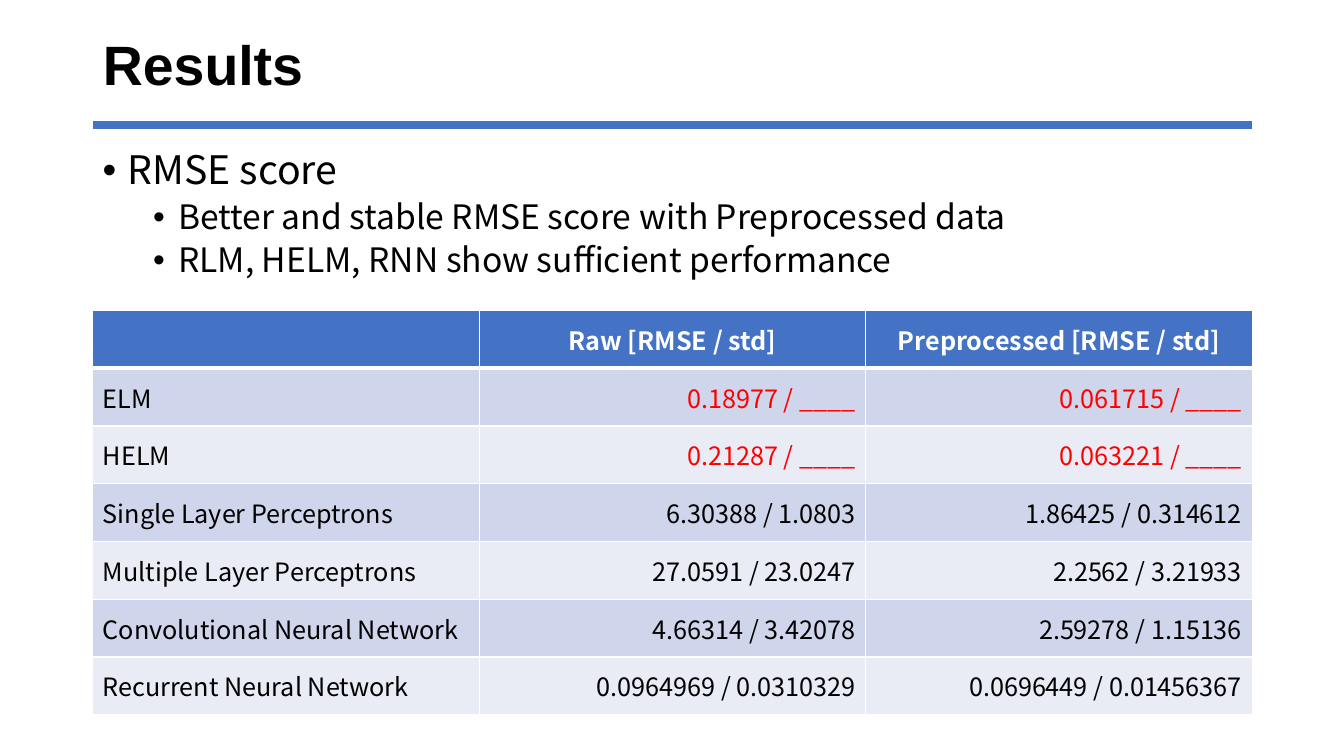
from dataclasses import dataclass

from lxml import etree
from pptx import Presentation
from pptx.dml.color import RGBColor
from pptx.enum.shapes import MSO_CONNECTOR
from pptx.enum.text import MSO_ANCHOR, MSO_AUTO_SIZE, PP_ALIGN
from pptx.oxml.ns import qn
from pptx.util import Inches, Pt

STRAIGHT = MSO_CONNECTOR.STRAIGHT
MIDDLE = MSO_ANCHOR.MIDDLE
NO_AUTOFIT = MSO_AUTO_SIZE.NONE
LEFT, CENTER, RIGHT = PP_ALIGN.LEFT, PP_ALIGN.CENTER, PP_ALIGN.RIGHT
TITLE_ONLY = 5

MARGIN = 0.92
CONTENT_WIDTH = 11.5

BULLETS = [
    (0, "RMSE score"),
    (1, "Better and stable RMSE score with Preprocessed data"),
    (1, "RLM, HELM, RNN show sufficient performance"),
]
HEADERS = ["", "Raw [RMSE / std]", "Preprocessed [RMSE / std]"]
SCORES = [
    ["ELM", "0.18977 / ____", "0.061715 / ____"],
    ["HELM", "0.21287 / ____", "0.063221 / ____"],
    ["Single Layer Perceptrons", "6.30388 / 1.0803", "1.86425 / 0.314612"],
    ["Multiple Layer Perceptrons", "27.0591 / 23.0247", "2.2562 / 3.21933"],
    ["Convolutional Neural Network", "4.66314 / 3.42078", "2.59278 / 1.15136"],
    ["Recurrent Neural Network", "0.0964969 / 0.0310329", "0.0696449 / 0.01456367"],
]


@dataclass(frozen=True)
class Theme:
    title_font: str = "Arial"
    body_font: str = "Noto Sans CJK KR"
    title_size: float = 39.6
    bullet_sizes: tuple = (28, 24)
    table_size: float = 18
    text: str = "000000"
    accent: str = "4472C4"
    white: str = "FFFFFF"
    missing: str = "FF0000"
    bands: tuple = ("CFD5EA", "E9EBF5")


class SlideBuilder:
    def __init__(self, slide, theme):
        self.slide = slide
        self.theme = theme

    def style(self, paragraph, size, color, bold=False, font_name=None):
        font = paragraph.font
        font.name = font_name or self.theme.body_font
        font.size = Pt(size)
        font.bold = bold
        font.color.rgb = RGBColor.from_string(color)

    def title(self, text, top, height):
        shape = self.slide.shapes.title
        shape.left, shape.top = Inches(MARGIN), Inches(top)
        shape.width, shape.height = Inches(CONTENT_WIDTH), Inches(height)
        frame = shape.text_frame
        frame.text = text
        frame.auto_size = NO_AUTOFIT
        frame.vertical_anchor = MIDDLE
        paragraph = frame.paragraphs[0]
        paragraph.alignment = LEFT
        paragraph.line_spacing = 0.9
        self.style(paragraph, self.theme.title_size, self.theme.text, True, self.theme.title_font)

    def rule(self, top, width):
        connector = self.slide.shapes.add_connector(
            STRAIGHT, Inches(MARGIN), Inches(top), Inches(MARGIN + CONTENT_WIDTH), Inches(top)
        )
        connector.line.color.rgb = RGBColor.from_string(self.theme.accent)
        connector.line.width = Pt(width)
        etree.SubElement(connector._element.spPr, qn("a:effectLst"))

    def bullets(self, items, top, height):
        shape = self.slide.shapes.add_textbox(
            Inches(MARGIN), Inches(top), Inches(CONTENT_WIDTH), Inches(height)
        )
        frame = shape.text_frame
        frame.word_wrap = True
        for index, (level, text) in enumerate(items):
            paragraph = frame.add_paragraph() if index else frame.paragraphs[0]
            paragraph.text = text
            paragraph.level = level
            paragraph.line_spacing = 0.9
            paragraph.space_before = Pt(5 if level else 10)
            self.style(paragraph, self.theme.bullet_sizes[level], self.theme.text)
            properties = paragraph._p.get_or_add_pPr()
            properties.set("marL", str(Inches(0.25 + 0.5 * level)))
            properties.set("indent", str(Inches(-0.25)))
            bullet_font = etree.Element(qn("a:buFont"), typeface="Arial")
            bullet = etree.Element(qn("a:buChar"), char="•")
            properties.find(qn("a:spcBef")).addnext(bullet_font)
            bullet_font.addnext(bullet)

    def borders(self, cell, top, bottom):
        properties = cell._tc.get_or_add_tcPr()
        for side, width in (("L", 1), ("R", 1), ("T", top), ("B", bottom)):
            line = etree.SubElement(properties, qn(f"a:ln{side}"), w=str(Pt(width)))
            fill = etree.SubElement(line, qn("a:solidFill"))
            etree.SubElement(fill, qn("a:srgbClr"), val=self.theme.white)

    def cell(self, cell, text, fill, color, alignment, bold):
        cell.fill.solid()
        cell.fill.fore_color.rgb = RGBColor.from_string(fill)
        cell.vertical_anchor = MIDDLE
        cell.text = text
        paragraph = cell.text_frame.paragraphs[0]
        paragraph.alignment = alignment
        self.style(paragraph, self.theme.table_size, color, bold)

    def table(self, headers, rows, top, height):
        theme = self.theme
        table = self.slide.shapes.add_table(
            len(rows) + 1, len(headers),
            Inches(MARGIN), Inches(top), Inches(CONTENT_WIDTH), Inches(height),
        ).table
        for row_index, values in enumerate([headers, *rows]):
            is_header = row_index == 0
            for column_index, text in enumerate(values):
                cell = table.cell(row_index, column_index)
                self.borders(cell, 3 if row_index == 1 else 1, 3 if is_header else 1)
                if is_header:
                    self.cell(cell, text, theme.accent, theme.white, CENTER, True)
                else:
                    band = theme.bands[(row_index - 1) % 2]
                    color = theme.missing if "_" in text else theme.text
                    self.cell(cell, text, band, color, RIGHT if column_index else LEFT, False)


def main():
    presentation = Presentation()
    presentation.slide_width = Inches(13.33)
    presentation.slide_height = Inches(7.5)
    slide = presentation.slides.add_slide(presentation.slide_layouts[TITLE_ONLY])
    builder = SlideBuilder(slide, Theme())
    builder.title("Results", 0.3, 0.75)
    builder.rule(1.24, 6.13)
    builder.bullets(BULLETS, 1.45, 1.5)
    builder.table(HEADERS, SCORES, 3.08, 4.01)
    presentation.save("out.pptx")


if __name__ == "__main__":
    main()
